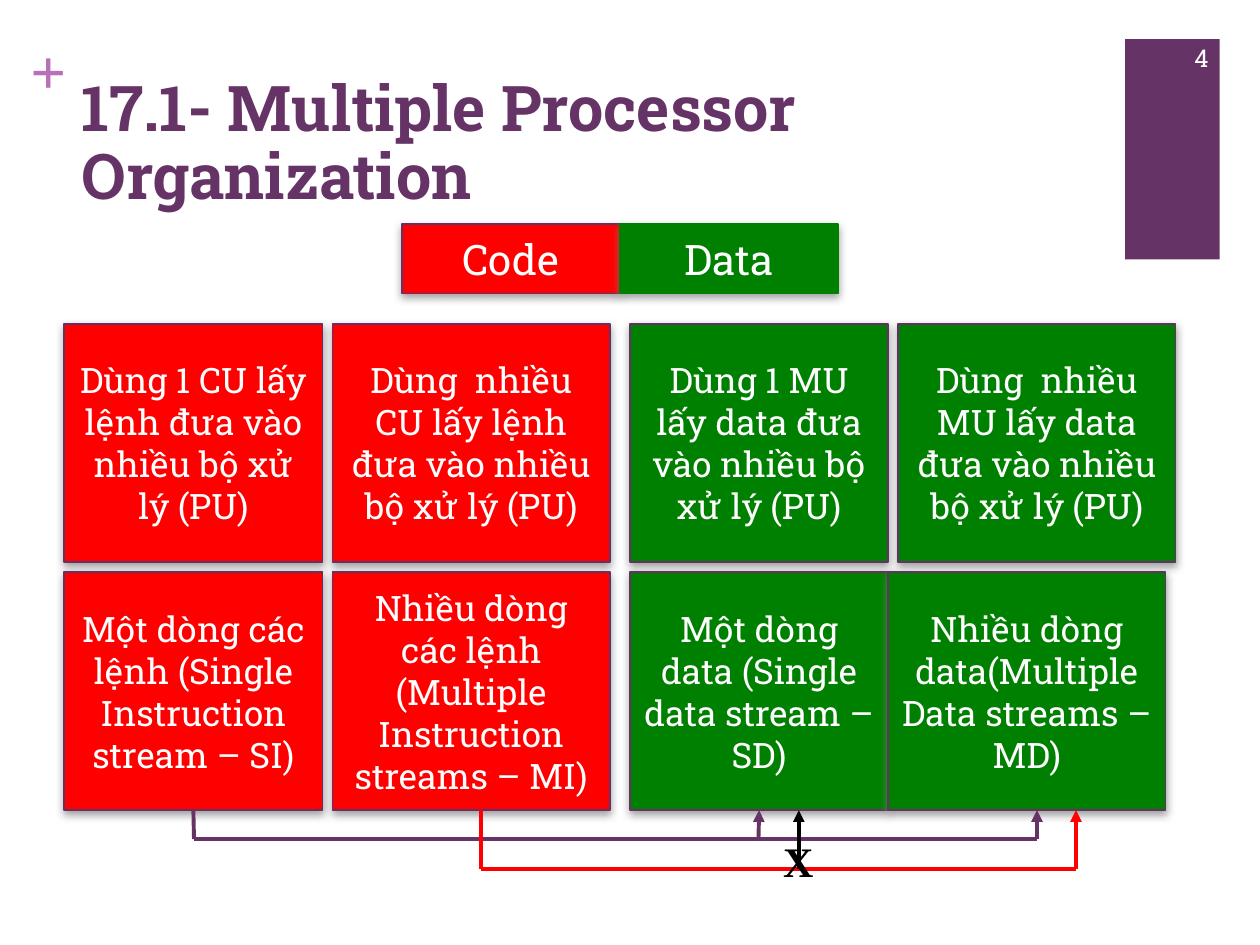
import dataclasses
import typing

import lxml.etree
import pptx
import pptx.dml.color
import pptx.enum.shapes
import pptx.enum.text
import pptx.oxml.ns
import pptx.util

Inches = pptx.util.Inches
Align = pptx.enum.text.PP_ALIGN
Anchor = pptx.enum.text.MSO_ANCHOR
qn = pptx.oxml.ns.qn

PURPLE, BORDER, RED, GREEN = "663366", "653165", "FF0000", "008000"
WHITE, BLACK, PLUS = "FFFFFF", "000000", "B870B8"
SLAB, TIMES = "Roboto Slab", "Times New Roman"


@dataclasses.dataclass
class Box:
    text: str
    left: float
    top: float
    width: float
    height: float
    fill: str
    border: str = BORDER
    size: int = 20


@dataclasses.dataclass
class Line:
    start: tuple[float, float]
    end: tuple[float, float]
    color: str
    arrow: bool = False
    begin_box: typing.Optional[str] = None
    end_box: typing.Optional[str] = None


def rgb(color: str):
    return pptx.dml.color.RGBColor.from_string(color)


def write(shape, text: str, *, size, color, font=SLAB, bold=False, align=Align.LEFT,
          anchor=Anchor.TOP, spacing=1.0, margins=(0.1, 0.05, 0.1, 0.05)):
    """Put one formatted paragraph into a shape; margins are left, top, right, bottom."""
    frame = shape.text_frame
    frame.word_wrap = True
    frame.vertical_anchor = anchor
    frame.margin_left, frame.margin_top, frame.margin_right, frame.margin_bottom = map(Inches, margins)
    paragraph = frame.paragraphs[0]
    paragraph.alignment = align
    paragraph.line_spacing = spacing
    run = paragraph.add_run()
    run.text = text
    run.font.size = pptx.util.Pt(size)
    run.font.name = font
    run.font.bold = bold
    run.font.color.rgb = rgb(color)


def add_text(slide, text: str, left: float, top: float, width: float, height: float, **text_format):
    shape = slide.shapes.add_textbox(Inches(left), Inches(top), Inches(width), Inches(height))
    write(shape, text, **text_format)


def add_rectangle(slide, left: float, top: float, width: float, height: float, fill: str):
    shape = slide.shapes.add_shape(pptx.enum.shapes.MSO_SHAPE.RECTANGLE,
                                   Inches(left), Inches(top), Inches(width), Inches(height))
    shape.shadow.inherit = False
    shape.fill.solid()
    shape.fill.fore_color.rgb = rgb(fill)
    shape.line.fill.background()
    return shape


def add_shadow(shape):
    effects = shape._element.spPr.find(qn("a:effectLst"))
    shadow = lxml.etree.SubElement(effects, qn("a:outerShdw"), blurRad=str(pptx.util.Pt(5)),
                                   dist=str(pptx.util.Pt(2)), dir="5400000", rotWithShape="0")
    color = lxml.etree.SubElement(shadow, qn("a:srgbClr"), val="808080")
    lxml.etree.SubElement(color, qn("a:alpha"), val="75000")


def add_box(slide, box: Box):
    shape = add_rectangle(slide, box.left, box.top, box.width, box.height, box.fill)
    shape.line.color.rgb = rgb(box.border)
    shape.line.width = pptx.util.Pt(1)
    add_shadow(shape)
    write(shape, box.text, size=box.size, color=WHITE, align=Align.CENTER, anchor=Anchor.MIDDLE)
    return shape


def add_line(slide, line: Line, boxes: dict):
    connector = slide.shapes.add_connector(pptx.enum.shapes.MSO_CONNECTOR.STRAIGHT,
                                           *map(Inches, line.start + line.end))
    if line.begin_box:
        connector.begin_connect(boxes[line.begin_box], 2)
    if line.end_box:
        connector.end_connect(boxes[line.end_box], 2)
    connector.line.color.rgb = rgb(line.color)
    connector.line.width = pptx.util.Pt(2.25)
    if line.arrow:
        lxml.etree.SubElement(connector.line._get_or_add_ln(), qn("a:tailEnd"), type="triangle")
    lxml.etree.SubElement(connector._element.spPr, qn("a:effectLst"))


def main():
    presentation = pptx.Presentation()
    presentation.slide_width, presentation.slide_height = Inches(10), Inches(7.5)
    slide = presentation.slides.add_slide(presentation.slide_layouts[6])

    # Header: page block, plus sign, title and page number
    add_rectangle(slide, 8.93, 0.31, 0.75, 1.75, PURPLE)
    add_text(slide, "+", 0.24, 0.25, 0.29, 0.61, size=36, color=PLUS, font=TIMES, bold=True,
             margins=(0, 0, 0, 0))
    add_text(slide, "17.1- Multiple Processor Organization", 0.55, 0.53, 8.6, 0.72, size=36,
             color=PURPLE, bold=True, spacing=0.9, margins=(0.1, 0.08, 0.1, 0.05))
    add_text(slide, "4", 9.08, 0.26, 0.61, 0.4, size=14, color=WHITE, align=Align.RIGHT,
             anchor=Anchor.MIDDLE)

    # Column headings
    add_box(slide, Box("Code", 3.19, 1.78, 1.73, 0.55, RED, size=24))
    add_box(slide, Box("Data", 4.92, 1.78, 1.73, 0.55, GREEN, GREEN, size=24))

    # Two rows of boxes: how streams are fetched, and what they are called
    upper, lower, height, narrow, wide = 2.57, 4.54, 1.89, 2.05, 2.2
    boxes = {
        name: add_box(slide, Box(text, left, top, width, height, fill))
        for name, text, left, top, width, fill in (
            ("one CU", "Dùng 1 CU lấy lệnh đưa vào nhiều bộ xử lý (PU)", 0.51, upper, narrow, RED),
            ("many CU", "Dùng  nhiều CU lấy lệnh đưa vào nhiều bộ xử lý (PU)", 2.64, upper, wide, RED),
            ("SI", "Một dòng các lệnh (Single Instruction stream – SI)", 0.51, lower, narrow, RED),
            ("MI", "Nhiều dòng các lệnh (Multiple Instruction streams – MI)", 2.64, lower, wide, RED),
            ("one MU", "Dùng 1 MU lấy data đưa vào nhiều bộ xử lý (PU)", 5, upper, narrow, GREEN),
            ("many MU", "Dùng  nhiều MU lấy data đưa vào nhiều bộ xử lý (PU)", 7.13, upper, wide, GREEN),
            ("SD", "Một dòng data (Single data stream – SD)", 5, lower, narrow, GREEN),
            ("MD", "Nhiều dòng data(Multiple Data streams – MD)", 7.05, lower, wide, GREEN),
        )
    }

    # Paths from instruction streams to data streams
    bottom, single_y, multiple_y = lower + height, 6.66, 6.9
    for line in (
        Line((1.54, bottom), (1.54, single_y), PURPLE, begin_box="SI"),
        Line((1.54, single_y), (8.23, single_y), PURPLE),
        Line((6.02, single_y), (6.02, bottom), PURPLE, arrow=True, end_box="SD"),
        Line((8.23, single_y), (8.23, bottom), PURPLE, arrow=True),
        Line((3.82, bottom), (3.82, multiple_y), RED),
        Line((3.82, multiple_y), (8.54, multiple_y), RED),
        Line((6.34, multiple_y), (6.34, bottom), BLACK, arrow=True),
        Line((8.54, multiple_y), (8.54, bottom), RED, arrow=True),
    ):
        add_line(slide, line, boxes)

    # Mark on the path that is not used
    add_text(slide, "X", 6.02, 6.58, 0.63, 0.5, size=24, color=BLACK, font=TIMES, bold=True,
             align=Align.CENTER)

    presentation.save("out.pptx")


if __name__ == "__main__":
    main()
